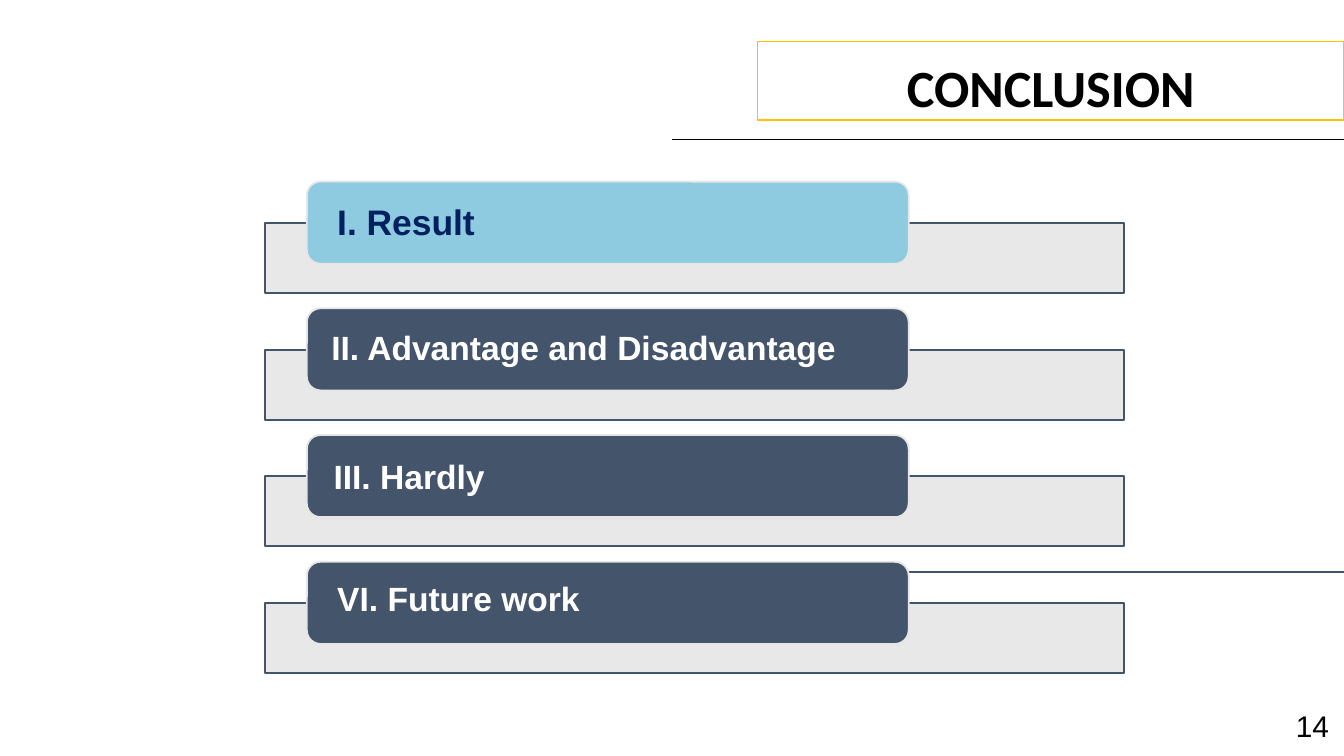
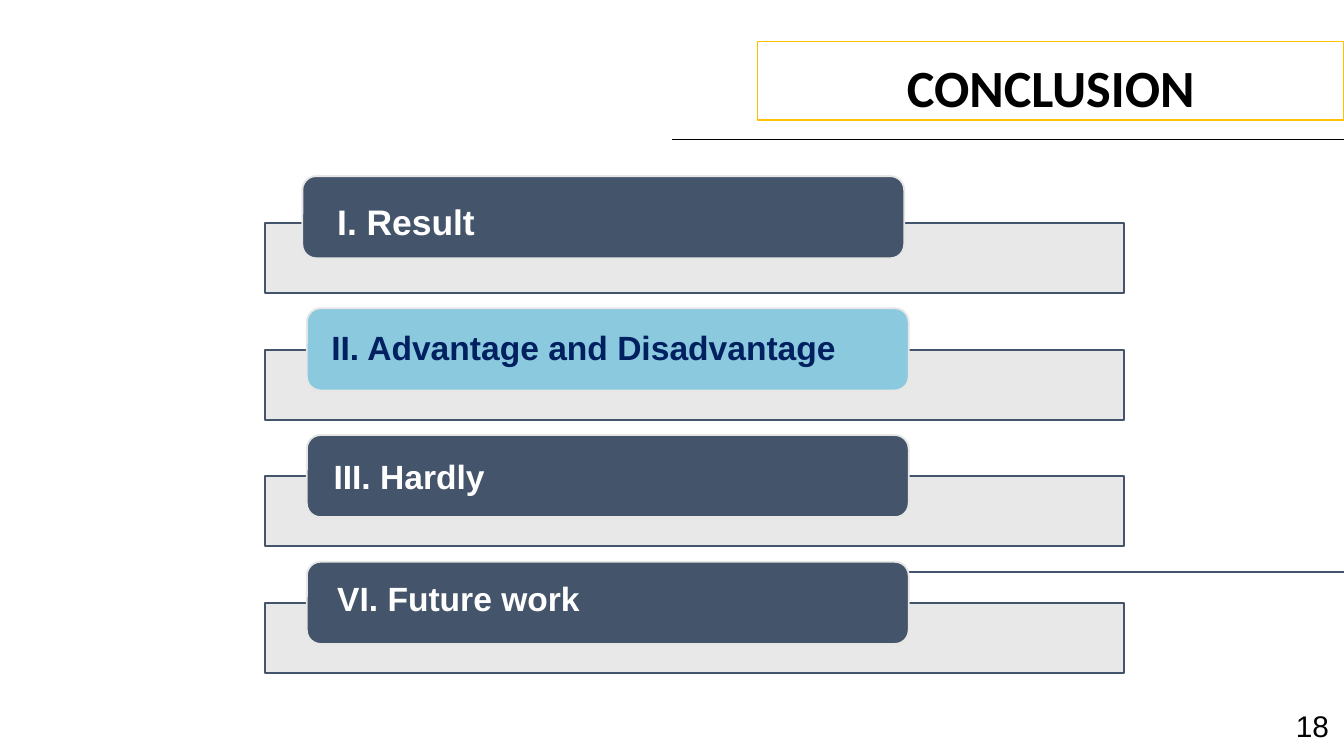
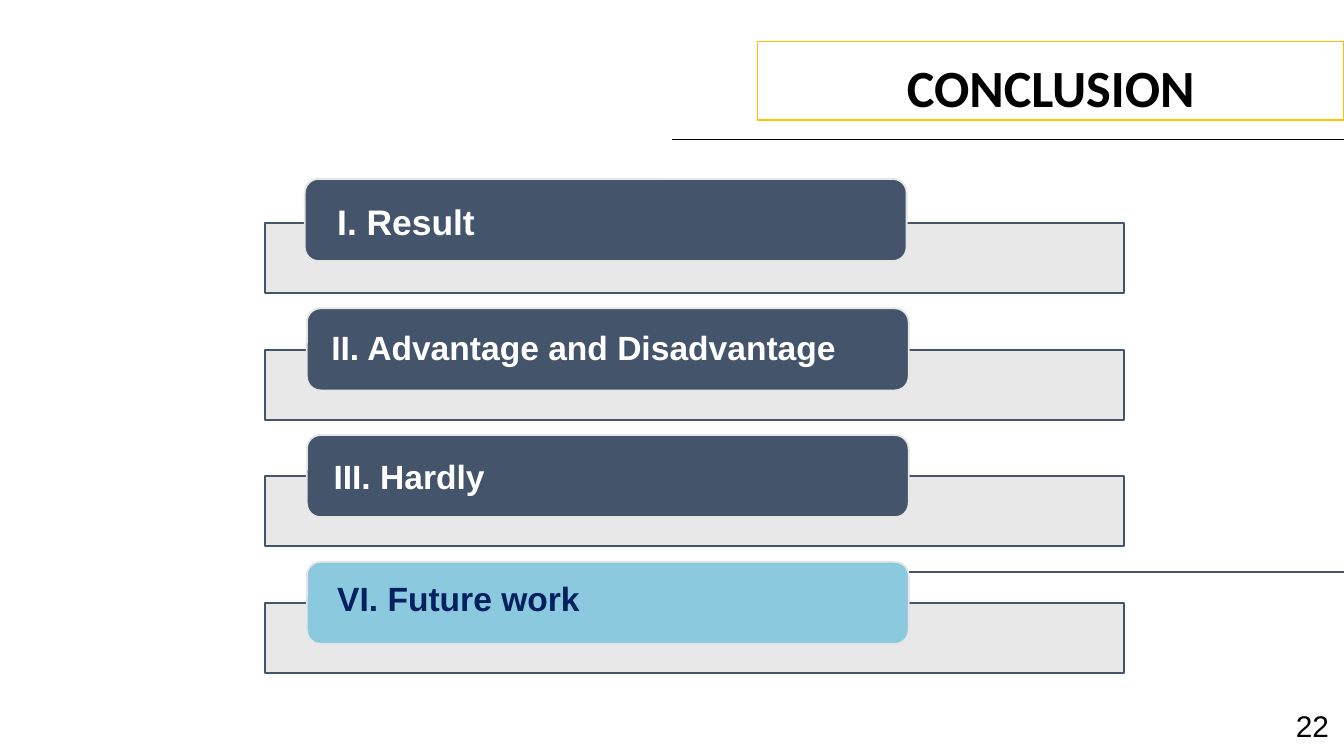
import dataclasses
import typing

import lxml.etree
import pptx
import pptx.dml.color
import pptx.enum.shapes
import pptx.enum.text
import pptx.oxml.ns
import pptx.slide
import pptx.util

Pt = pptx.util.Pt
Kind = pptx.enum.shapes.MSO_SHAPE
Align = pptx.enum.text.PP_ALIGN
Fit = pptx.enum.text.MSO_AUTO_SIZE

BLACK, WHITE, GOLD = "000000", "FFFFFF", "FFC000"
SLATE, SILVER, NAVY = "44546A", "E7E6E6", "002060"

WIDTH, HEIGHT = 720, 405
PITCH = 67.9
BAR = (141.8, 119.4, 460.2, 37.6)
PILL = (164.4, 97.3, 322.4, 44)


class Box(typing.NamedTuple):
    left: float
    top: float
    width: float
    height: float


@dataclasses.dataclass(frozen=True)
class Item:
    text: str
    box: Box
    size: float = 18
    spacing: float = 1


@dataclasses.dataclass(frozen=True)
class Page:
    number: str
    active: int
    accent: str
    shift: tuple[float, float] = (0, 0)


@dataclasses.dataclass(frozen=True)
class Rule:
    start: float
    end: float
    top: float
    color: str


ITEMS = [
    Item("I. Result", Box(173.6, 106.4, 89.3, 57.6), 19, 0.9),
    Item("II. Advantage and Disadvantage", Box(170.4, 171.4, 287.3, 51.1)),
    Item("III. Hardly", Box(171.6, 240.8, 96.5, 51.1)),
    Item("VI. Future work", Box(173.6, 306.2, 146.2, 72.7)),
]
PAGES = [
    Page("14", 0, "8ECAE0"),
    Page("18", 1, "8BC9DF", (-2.4, -2.9)),
    Page("22", 3, "8BC9DF", (-1.1, -1.4)),
]
RULES = [Rule(360, WIDTH, 74.7, BLACK), Rule(WIDTH, 423.4, 306.5, SLATE)]


def paint(target, color: str, alpha: int = 100) -> None:
    if hasattr(target, "solid"):
        target.solid()
        target = target.fore_color
    target.rgb = pptx.dml.color.RGBColor.from_string(color)
    if alpha < 100:
        for node in target._xFill.iter(pptx.oxml.ns.qn("a:srgbClr")):
            lxml.etree.SubElement(
                node, pptx.oxml.ns.qn("a:alpha"), val=str(alpha * 1000)
            )


def write(shape, text: str, *, size: float, color: str, font: str = "Arial",
          bold: bool = False, align=Align.LEFT, spacing: float = 1,
          wrap: bool = True, fit=Fit.SHAPE_TO_FIT_TEXT) -> None:
    frame = shape.text_frame
    frame.text = text
    frame.word_wrap = wrap
    frame.auto_size = fit
    frame.vertical_anchor = pptx.enum.text.MSO_ANCHOR.TOP
    line = frame.paragraphs[0]
    line.alignment = align
    line.line_spacing = spacing
    style = line.runs[0].font
    style.name, style.size, style.bold = font, Pt(size), bold
    paint(style.color, color)


def outline(shape, color: str, width: float) -> None:
    paint(shape.line.fill, color)
    shape.line.width = Pt(width)


def panel(shapes, kind, box: Box, fill: str, edge: str, alpha: int = 100) -> None:
    shape = shapes.add_shape(kind, *map(Pt, box))
    shape.shadow.inherit = False
    paint(shape.fill, fill, alpha)
    outline(shape, edge, 1)


def label(slide: pptx.slide.Slide, text: str, box: Box, **style) -> None:
    write(slide.shapes.add_textbox(*map(Pt, box)), text, **style)


def draw_rule(slide: pptx.slide.Slide, rule: Rule) -> None:
    line = slide.shapes.add_connector(
        pptx.enum.shapes.MSO_CONNECTOR.STRAIGHT,
        Pt(rule.start), Pt(rule.top), Pt(rule.end), Pt(rule.top),
    )
    outline(line, rule.color, 0.75)
    lxml.etree.SubElement(line._element.spPr, pptx.oxml.ns.qn("a:effectLst"))


def draw_head(slide: pptx.slide.Slide) -> None:
    title = slide.shapes.title
    title.left, title.top, title.width, title.height = map(
        Pt, Box(405.8, 22.2, 314.2, 42.2)
    )
    outline(title, GOLD, 0.75)
    frame = title.text_frame
    frame.margin_left = frame.margin_right = Pt(7.2)
    frame.margin_top = frame.margin_bottom = Pt(7.2)
    write(title, "CONCLUSION", size=28, color=BLACK, font="Calibri",
          bold=True, align=Align.CENTER, fit=Fit.NONE)
    for rule in RULES:
        draw_rule(slide, rule)


def draw_list(slide: pptx.slide.Slide, page: Page) -> None:
    group = slide.shapes.add_group_shape().shapes
    for row in range(len(ITEMS)):
        drop = row * PITCH
        bar, pill = Box(*BAR), Box(*PILL)
        right, down = page.shift if row == 0 else (0, 0)
        panel(group, Kind.RECTANGLE, bar._replace(top=bar.top + drop),
              SILVER, SLATE, 90)
        panel(group, Kind.ROUNDED_RECTANGLE,
              pill._replace(left=pill.left + right, top=pill.top + drop + down),
              page.accent if row == page.active else SLATE, SILVER)
    for row, item in enumerate(ITEMS):
        label(slide, item.text, item.box, size=item.size, bold=True,
              color=NAVY if row == page.active else WHITE,
              spacing=item.spacing, wrap=False)


def main() -> None:
    deck = pptx.Presentation()
    deck.slide_width, deck.slide_height = Pt(WIDTH), Pt(HEIGHT)
    for page in PAGES:
        slide = deck.slides.add_slide(deck.slide_layouts[5])
        paint(slide.background.fill, WHITE)
        draw_head(slide)
        draw_list(slide, page)
        label(slide, page.number, Box(686.2, 375.8, 33.8, 26.6),
              size=16, color=BLACK, align=Align.CENTER)
    deck.save("out.pptx")


if __name__ == "__main__":
    main()
